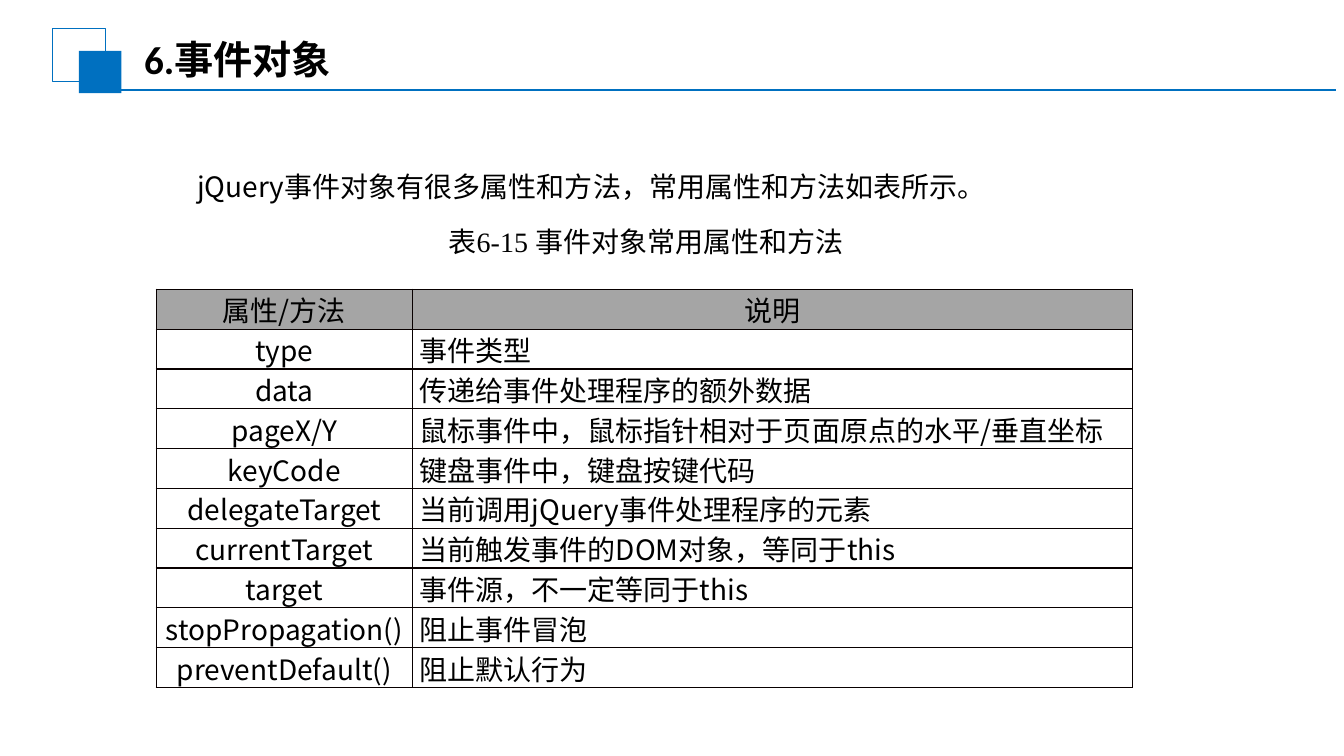
from lxml import etree
from pptx import Presentation
from pptx.dml.color import RGBColor
from pptx.enum.shapes import MSO_CONNECTOR, MSO_SHAPE
from pptx.enum.text import MSO_ANCHOR, PP_ALIGN
from pptx.oxml.ns import qn
from pptx.util import Cm, Pt

RECT = MSO_SHAPE.RECTANGLE
LINE = MSO_CONNECTOR.STRAIGHT
TOP, MIDDLE = MSO_ANCHOR.TOP, MSO_ANCHOR.MIDDLE
LEFT, CENTER, JUSTIFY = PP_ALIGN.LEFT, PP_ALIGN.CENTER, PP_ALIGN.JUSTIFY
SANS = "Noto Sans CJK SC"
BLUE, GREY, BLACK = "0070C0", "A5A5A5", "000000"
EDGE = "080000"


def color(fmt, value):
    """Make a fill, or the fill of a line, solid in a hex colour."""
    fmt.solid()
    fmt.fore_color.rgb = RGBColor.from_string(value)


def write(frame, text, size=20, font=SANS, bold=False, align=LEFT, space=None):
    frame.word_wrap = True
    para = frame.paragraphs[0]
    para.alignment = align
    if space:
        para.line_spacing = space
    run = para.add_run()
    run.text = text
    run.font.size = Pt(size)
    run.font.bold = bold
    color(run.font.fill, BLACK)
    run.font.name = font
    etree.SubElement(run.font._element, qn("a:ea"), typeface=SANS)
    return para


deck = Presentation()
deck.slide_width, deck.slide_height = Cm(33.87), Cm(19.05)
slide = deck.slides.add_slide(deck.slide_layouts[6])
shapes = slide.shapes

# Heading with its two squares and rule
frame = shapes.add_shape(RECT, Cm(1.32), Cm(0.72), Cm(1.34), Cm(1.34))
frame.fill.background()
color(frame.line.fill, BLUE)
frame.line.width = Pt(0.75)
block = shapes.add_shape(RECT, Cm(1.99), Cm(1.28), Cm(1.07), Cm(1.07))
color(block.fill, BLUE)
block.line.fill.background()
for square in (frame, block):
    square.shadow.inherit = False

rule = shapes.add_connector(LINE, Cm(2.72), Cm(2.26), Cm(33.68), Cm(2.26))
color(rule.line.fill, BLUE)
rule.line.width = Pt(1.25)
etree.SubElement(rule._element.spPr, qn("a:effectLst"))

title = shapes.add_textbox(Cm(3.3), Cm(0.74), Cm(20.04), Cm(1.47)).text_frame
title.vertical_anchor = MIDDLE
title.margin_left = title.margin_right = Cm(0.33)
title.margin_top = title.margin_bottom = Cm(0.17)
write(title, "6.事件对象", size=28, font="Calibri", bold=True)

# Lead sentence and table caption
intro = shapes.add_textbox(Cm(4.72), Cm(3.73), Cm(22.43), Cm(1.4))
write(intro.text_frame, "jQuery事件对象有很多属性和方法，常用属性和方法如表所示。",
      align=JUSTIFY, space=Pt(36))
label = shapes.add_textbox(Cm(4.32), Cm(5.54), Cm(23.19), Cm(1.12))
para = write(label.text_frame, "表6-15 事件对象常用属性和方法",
             font="Times New Roman", align=CENTER)
para._p.get_or_add_pPr().set("indent", str(Cm(0.74)))

# Table of properties and methods
rows = [
    ("属性/方法", "说明"),
    ("type", "事件类型"),
    ("data", "传递给事件处理程序的额外数据"),
    ("pageX/Y", "鼠标事件中，鼠标指针相对于页面原点的水平/垂直坐标"),
    ("keyCode", "键盘事件中，键盘按键代码"),
    ("delegateTarget", "当前调用jQuery事件处理程序的元素"),
    ("currentTarget", "当前触发事件的DOM对象，等同于this"),
    ("target", "事件源，不一定等同于this"),
    ("stopPropagation()", "阻止事件冒泡"),
    ("preventDefault()", "阻止默认行为"),
]
widths = (6.45, 18.16)
table = shapes.add_table(len(rows), 2, Cm(3.94), Cm(7.29),
                         Cm(sum(widths)), Cm(10.03)).table
for col, width in zip(table.columns, widths):
    col.width = Cm(width)

for r, row in enumerate(rows):
    for c, text in enumerate(row):
        cell = table.cell(r, c)
        cell.margin_left = cell.margin_right = Cm(0.18)
        cell.margin_top = cell.margin_bottom = 0
        cell.vertical_anchor = MIDDLE if r and c == 0 else TOP
        write(cell.text_frame, text, align=LEFT if r and c else CENTER)
        props = cell._tc.get_or_add_tcPr()
        for side in ("lnL", "lnR", "lnT", "lnB"):
            border = etree.SubElement(props, qn("a:" + side), w=str(Pt(1)))
            solid = etree.SubElement(border, qn("a:solidFill"))
            etree.SubElement(solid, qn("a:srgbClr"), val=EDGE)
        if r == 0:
            color(cell.fill, GREY)
        else:
            cell.fill.background()

deck.save("out.pptx")
